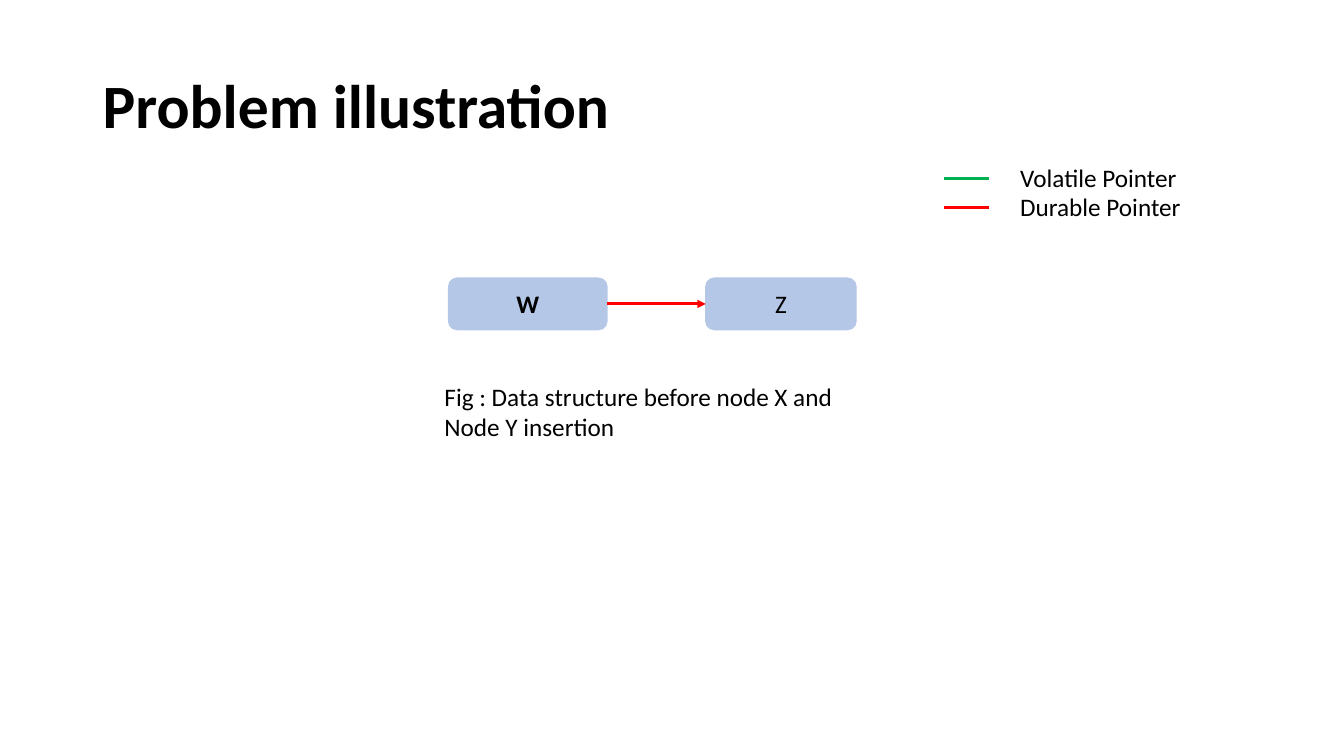
from pptx import Presentation
from pptx.dml.color import RGBColor
from pptx.enum.shapes import MSO_CONNECTOR, MSO_SHAPE
from pptx.enum.text import MSO_ANCHOR, PP_ALIGN
from pptx.oxml.ns import qn
from pptx.util import Inches, Pt
from lxml import etree

BLACK = RGBColor(0, 0, 0)
BLUE = RGBColor(0xB4, 0xC7, 0xE7)
GREEN = RGBColor(0, 0xB0, 0x50)
RED = RGBColor(0xFF, 0, 0)
STRAIGHT = MSO_CONNECTOR.STRAIGHT
ROUND = MSO_SHAPE.ROUNDED_RECTANGLE
MIDDLE = MSO_ANCHOR.MIDDLE
CENTER = PP_ALIGN.CENTER
LEFT_SIDE, RIGHT_SIDE = 1, 3


def write(frame, text, size=18, bold=False):
    para = frame.paragraphs[0]
    para.text = text
    font = para.font
    font.name, font.size, font.bold = "Calibri", Pt(size), bold
    font.color.rgb = BLACK
    return para


def add_label(slide, text, left, top, width, height, wrap=True, **style):
    box = slide.shapes.add_textbox(
        Inches(left), Inches(top), Inches(width), Inches(height))
    box.text_frame.word_wrap = wrap
    write(box.text_frame, text, **style)
    return box.text_frame


def add_line(slide, start, end, color, weight):
    line = slide.shapes.add_connector(
        STRAIGHT, *(Inches(n) for n in (*start, *end)))
    line.line.color.rgb = color
    line.line.width = Pt(weight)
    etree.SubElement(line._element.spPr, qn("a:effectLst"))
    return line


def add_node(slide, text, left, top, width, height, bold=False):
    node = slide.shapes.add_shape(
        ROUND, Inches(left), Inches(top), Inches(width), Inches(height))
    node.shadow.inherit = False
    node.fill.solid()
    node.fill.fore_color.rgb = BLUE
    node.line.color.rgb = BLUE
    node.line.width = Pt(1)
    node.text_frame.vertical_anchor = MIDDLE
    write(node.text_frame, text, bold=bold).alignment = CENTER
    return node


def add_title(slide, left, top, width, height):
    frame = add_label(slide, "Problem illustration", left, top, width, height,
                      size=44, bold=True)
    frame.vertical_anchor = MIDDLE
    frame.paragraphs[0].line_spacing = 0.9


def add_list(slide, left, top, width, height):
    """Two linked nodes with a caption below."""
    first, last = 1.57, 1.49
    right = left + width - last
    node_w = add_node(slide, "W", left, top, first, height, bold=True)
    node_z = add_node(slide, "Z", right, top, last, height)

    # Durable pointer from W to Z
    mid = top + height / 2
    link = add_line(slide, (left + first, mid), (right, mid), RED, 2)
    link.begin_connect(node_w, RIGHT_SIDE)
    link.end_connect(node_z, LEFT_SIDE)
    etree.SubElement(link.line._get_or_add_ln(), qn("a:tailEnd"),
                     type="triangle")

    # Caption
    add_label(slide, "Fig : Data structure before node X and Node Y insertion",
              left - 0.14, top + 0.97, 4.39, 0.71)


def add_legend(slide, left, top, width, pitch):
    rows = [("Volatile Pointer", GREEN), ("Durable Pointer", RED)]
    for i, (text, color) in enumerate(rows):
        row = top + i * pitch
        mid = row + 0.21
        add_line(slide, (left, mid), (left + 0.45, mid), color, 2.5)
        add_label(slide, text, left + 0.66, row, width - 0.66, 0.4, wrap=False)


def main():
    deck = Presentation()
    deck.slide_width, deck.slide_height = Inches(13.33), Inches(7.5)
    slide = deck.slides.add_slide(deck.slide_layouts[6])
    add_title(slide, 0.92, 0.4, 11.5, 1.36)
    add_list(slide, 4.45, 2.76, 4.04, 0.51)
    add_legend(slide, 9.36, 1.56, 2.52, 0.29)
    deck.save("out.pptx")


if __name__ == "__main__":
    main()
